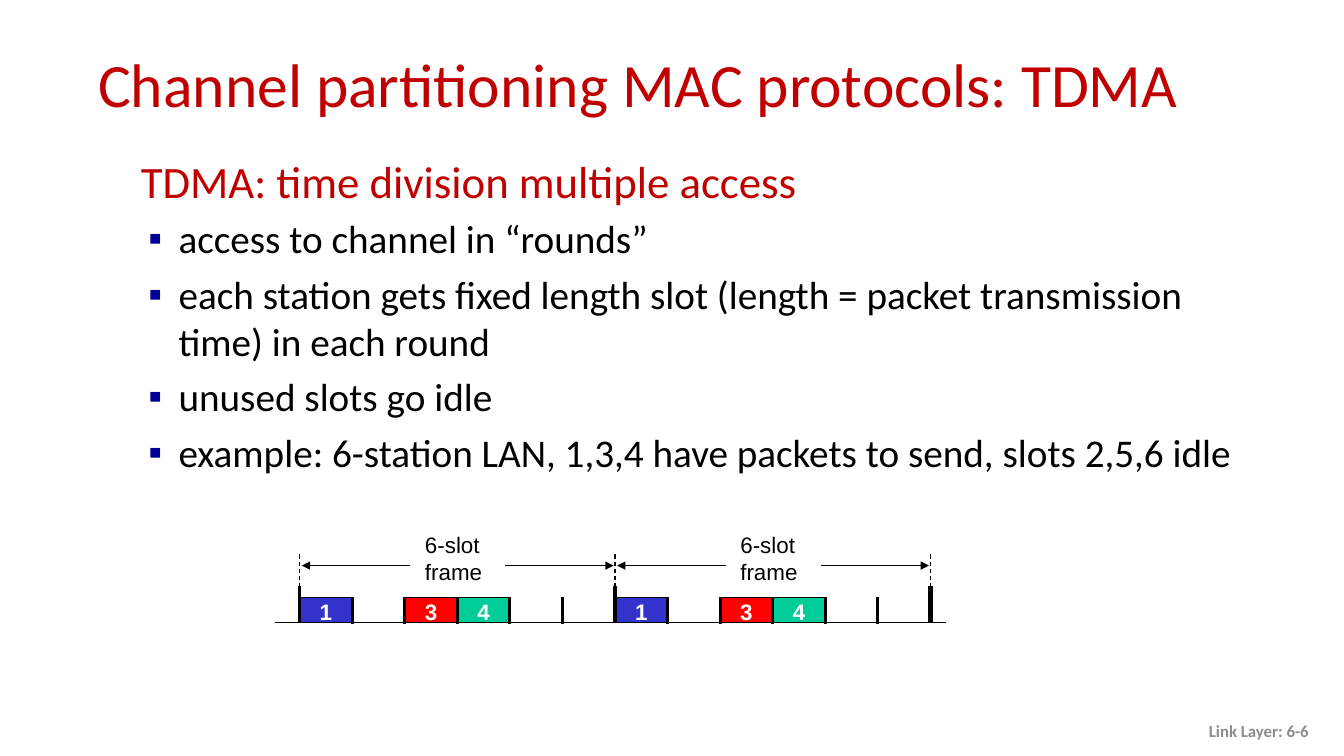
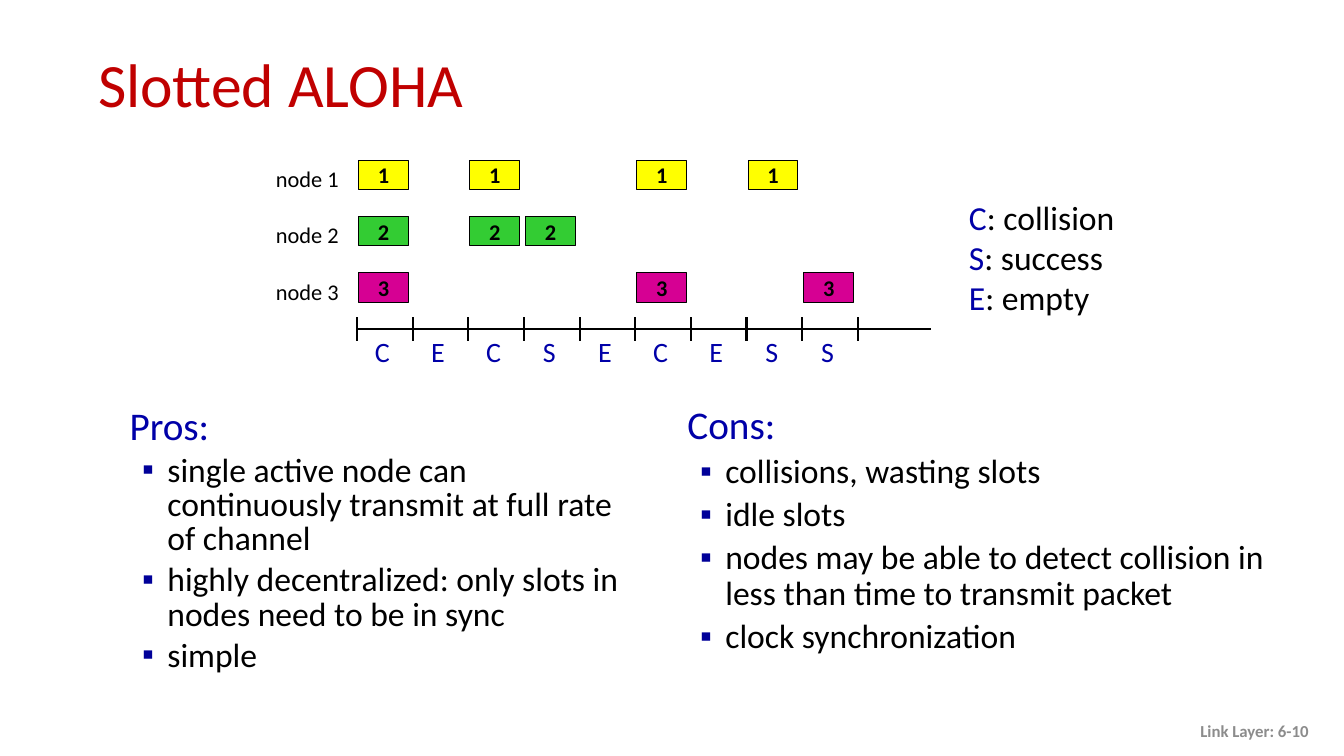
import lxml.etree
import pptx
import pptx.dml.color
import pptx.enum.dml
import pptx.enum.shapes
import pptx.enum.text
import pptx.oxml.ns
import pptx.util

Pt = pptx.util.Pt
RGBColor = pptx.dml.color.RGBColor
ALIGN = pptx.enum.text.PP_ALIGN
ANCHOR = pptx.enum.text.MSO_ANCHOR
qn = pptx.oxml.ns.qn

BLACK = RGBColor(0x00, 0x00, 0x00)
WHITE = RGBColor(0xFF, 0xFF, 0xFF)
TITLE_RED = RGBColor(0xC0, 0x00, 0x00)
FOOTER_GRAY = RGBColor(0x8C, 0x8C, 0x8C)
HEADING_BLUE = RGBColor(0x00, 0x00, 0xA8)
BULLET_BLUE = "000099"

TEXT_FONT = "Calibri"
DIAGRAM_FONT = "Arial"

TDMA_TITLE = "Channel partitioning MAC protocols: TDMA"
TDMA_HEADING = "TDMA: time division multiple access"
TDMA_POINTS = [
    "access to channel in “rounds”",
    "each station gets fixed length slot (length = packet transmission time) in each round",
    "unused slots go idle",
    "example: 6-station LAN, 1,3,4 have packets to send, slots 2,5,6 idle",
]
FRAME_LABEL = ["6-slot", "frame"]
FRAME_COUNT = 2
SLOTS_PER_FRAME = 6
STATION_COLORS = {
    1: RGBColor(0x33, 0x33, 0xCC),
    3: RGBColor(0xFF, 0x00, 0x00),
    4: RGBColor(0x00, 0xCC, 0x99),
}

ALOHA_TITLE = "Slotted ALOHA"
ALOHA_SLOTS = 9
# node number, colour, slots in which the node transmits
NODES = [
    (1, RGBColor(0xFF, 0xFF, 0x00), (0, 2, 5, 7)),
    (2, RGBColor(0x33, 0xCC, 0x33), (0, 2, 3)),
    (3, RGBColor(0xD6, 0x00, 0x93), (0, 5, 8)),
]
OUTCOMES = [("C", ": collision"), ("S", ": success"), ("E", ": empty")]
PROS = [
    "single active node can continuously transmit at full rate of channel",
    "highly decentralized: only slots in nodes need to be in sync",
    "simple",
]
CONS = [
    "collisions, wasting slots",
    "idle slots",
    "nodes may be able to detect collision in less than time to transmit packet",
    "clock synchronization",
]


def style_runs(paragraph, size, color, font=TEXT_FONT, bold=False):
    for run in paragraph.runs:
        run.font.size = Pt(size)
        run.font.name = font
        run.font.bold = bold
        run.font.color.rgb = color


def add_text(slide, box, lines, size, color=BLACK, font=TEXT_FONT, bold=False,
             align=ALIGN.LEFT, anchor=ANCHOR.TOP, wrap=False):
    label = slide.shapes.add_textbox(*map(Pt, box))
    frame = label.text_frame
    frame.word_wrap = wrap
    frame.vertical_anchor = anchor
    frame.text = "\n".join(lines)
    for paragraph in frame.paragraphs:
        paragraph.alignment = align
        style_runs(paragraph, size, color, font, bold)
    return frame


def add_bullet(paragraph, hang):
    properties = paragraph._p.get_or_add_pPr()
    properties.set("marL", str(Pt(27)))
    properties.set("indent", str(-Pt(hang)))
    color = lxml.etree.SubElement(properties, qn("a:buClr"))
    lxml.etree.SubElement(color, qn("a:srgbClr"), val=BULLET_BLUE)
    lxml.etree.SubElement(properties, qn("a:buFont"), typeface=DIAGRAM_FONT)
    lxml.etree.SubElement(properties, qn("a:buChar"), char="▪")


def add_points(slide, box, heading, points, heading_color, heading_size, size,
               heading_spacing, spacing, gap, hang):
    """Add a coloured heading followed by bulleted points."""
    frame = add_text(slide, box, [heading, *points], size, wrap=True)
    first, *rest = frame.paragraphs
    style_runs(first, heading_size, heading_color)
    first.line_spacing = heading_spacing
    first.space_before = Pt(heading_size * 0.2)
    for paragraph in rest:
        paragraph.line_spacing = spacing
        paragraph.space_before = Pt(gap)
        add_bullet(paragraph, hang)


def add_line(slide, start, end, width=0.75, dashed=False, arrow=False):
    line = slide.shapes.add_connector(
        pptx.enum.shapes.MSO_CONNECTOR.STRAIGHT, *map(Pt, (*start, *end)))
    line.line.color.rgb = BLACK
    line.line.width = Pt(width)
    if dashed:
        line.line.dash_style = pptx.enum.dml.MSO_LINE.DASH
    properties = line._element.spPr
    if arrow:
        lxml.etree.SubElement(properties.find(qn("a:ln")), qn("a:tailEnd"), type="triangle")
    lxml.etree.SubElement(properties, qn("a:effectLst"))


def add_packet(slide, box, number, fill, color, font, top_inset=0):
    packet = slide.shapes.add_shape(
        pptx.enum.shapes.MSO_SHAPE.RECTANGLE, *map(Pt, box))
    packet.shadow.inherit = False
    packet.fill.solid()
    packet.fill.fore_color.rgb = fill
    packet.line.color.rgb = BLACK
    packet.line.width = Pt(0.75)
    frame = packet.text_frame
    frame.word_wrap = False
    frame.vertical_anchor = ANCHOR.MIDDLE
    frame.margin_left = frame.margin_right = frame.margin_bottom = 0
    frame.margin_top = Pt(top_inset)
    frame.text = str(number)
    frame.paragraphs[0].alignment = ALIGN.CENTER
    style_runs(frame.paragraphs[0], 16, color, font, bold=True)


def add_slide(deck, title, page):
    slide = deck.slides.add_slide(deck.slide_layouts[6])
    heading = add_text(slide, (63, 27, 828, 70.5), [title], 44, TITLE_RED,
                       anchor=ANCHOR.MIDDLE, wrap=True)
    heading.paragraphs[0].line_spacing = 0.9
    add_text(slide, (726, 507.5, 216, 29), [f"Link Layer: 6-{page}"], 12, FOOTER_GRAY,
             bold=True, align=ALIGN.RIGHT, anchor=ANCHOR.MIDDLE, wrap=True)
    return slide


def draw_frames(slide):
    left, slot, axis, packet_height = 214, 37.55, 445, 18
    frame_width = slot * SLOTS_PER_FRAME
    packet_top = axis - packet_height
    arrow_y = 404

    add_line(slide, (196.5, axis), (676, axis))
    for index in range(FRAME_COUNT):
        start = left + index * frame_width
        for station, fill in STATION_COLORS.items():
            box = (start + (station - 1) * slot, packet_top, slot, packet_height)
            add_packet(slide, box, station, fill, WHITE, DIAGRAM_FONT, top_inset=2)
        for tick in range(1, SLOTS_PER_FRAME):
            x = start + tick * slot
            add_line(slide, (x, packet_top - 0.5), (x, axis + 0.5), 2.25)
        add_text(slide, (start + 82.5, 376, 55.5, 46), FRAME_LABEL, 16, font=DIAGRAM_FONT)
        add_line(slide, (start + 79, arrow_y), (start + 1.5, arrow_y), arrow=True)
        add_line(slide, (start + 147, arrow_y),
                 (start + frame_width - 1, arrow_y), arrow=True)

    for index in range(FRAME_COUNT + 1):
        x = left + index * frame_width
        add_line(slide, (x, 418.5), (x, axis), 3 if index else 2.25)
        add_line(slide, (x, 396), (x, 420), dashed=True)


def outcome(slot):
    senders = sum(slot in slots for _, _, slots in NODES)
    return "ESC"[min(senders, 2)]


def draw_timeline(slide):
    left, slot, axis, top, row = 255, 39.75, 235, 114.5, 40.2

    for index, (node, fill, slots) in enumerate(NODES):
        y = top + index * row
        add_text(slide, (190, y, 60, 26.5), [f"node {node}"], 16)
        for sent in slots:
            box = (left + sent * slot + 1.2, y, 35.5, 21)
            add_packet(slide, box, node, fill, BLACK, TEXT_FONT)

    add_line(slide, (left, axis), (665, axis))
    for tick in range(ALOHA_SLOTS + 1):
        x = left + tick * slot
        add_line(slide, (x, axis - 8.5), (x, axis + 8.5), 1.5)
    for index in range(ALOHA_SLOTS):
        add_text(slide, (left + index * slot - 1.8, axis + 0.5, slot, 31.5),
                 [outcome(index)], 20, HEADING_BLUE, align=ALIGN.CENTER)


def add_legend(slide):
    legend = add_text(slide, (685, 137, 120, 94.5), [key for key, _ in OUTCOMES],
                      24, HEADING_BLUE)
    for paragraph, (_, meaning) in zip(legend.paragraphs, OUTCOMES):
        run = paragraph.add_run()
        run.text = meaning
        run.font.size = Pt(24)
        run.font.name = TEXT_FONT
        run.font.color.rgb = BLACK


def main():
    deck = pptx.Presentation()
    deck.slide_width, deck.slide_height = Pt(960), Pt(540)

    tdma = add_slide(deck, TDMA_TITLE, 6)
    add_points(tdma, (93.5, 115, 806, 230.5), TDMA_HEADING, TDMA_POINTS, TITLE_RED,
               32, 28, heading_spacing=0.75, spacing=1.0, gap=6, hang=21.5)
    draw_frames(tdma)

    aloha = add_slide(deck, ALOHA_TITLE, 10)
    draw_timeline(aloha)
    add_legend(aloha)
    for heading, points, box, spacing in (
        ("Pros:", PROS, (85.5, 288, 381.5, 252), 0.85),
        ("Cons:", CONS, (484, 286, 439, 216), 0.9),
    ):
        add_points(aloha, box, heading, points, HEADING_BLUE, 28, 24,
                   heading_spacing=spacing, spacing=spacing, gap=4.8, hang=18)

    deck.save("out.pptx")


if __name__ == "__main__":
    main()
